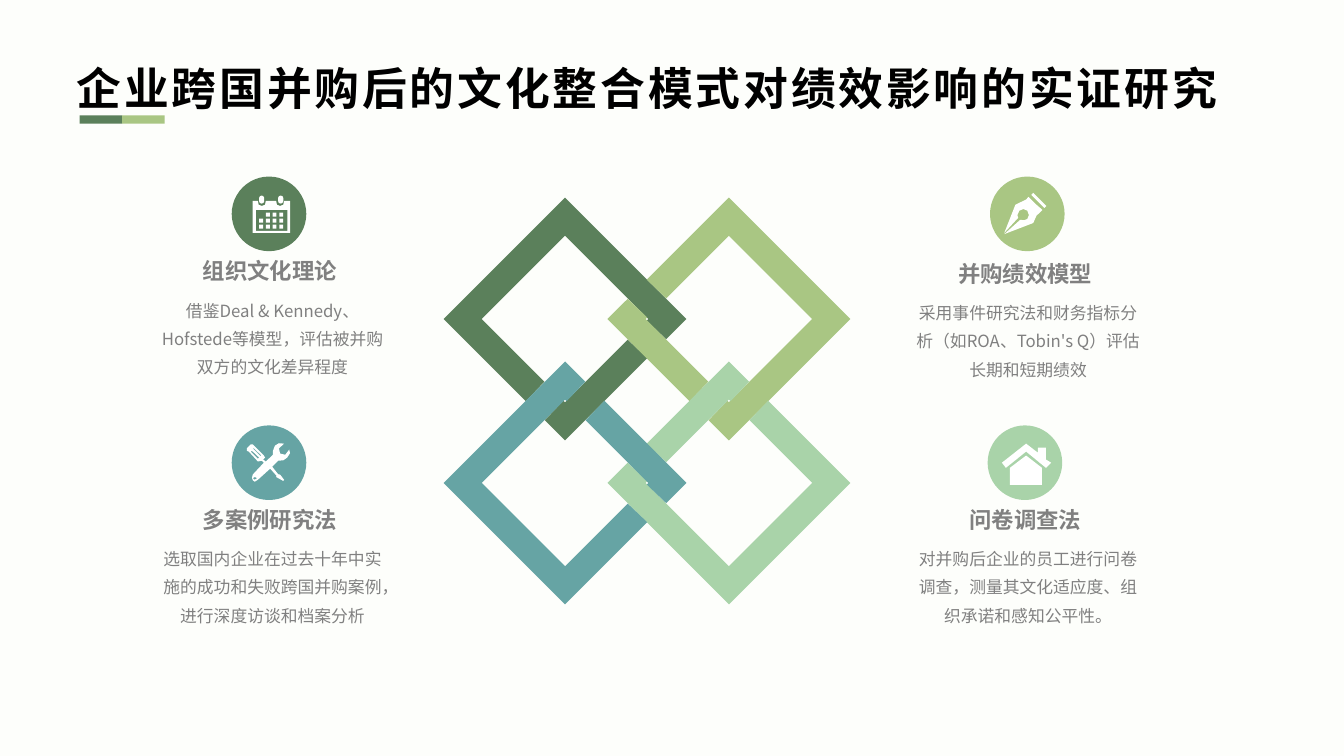
from lxml.etree import SubElement
from pptx import Presentation
from pptx.dml.color import RGBColor
from pptx.enum.shapes import MSO_SHAPE
from pptx.enum.text import MSO_ANCHOR, PP_ALIGN
from pptx.oxml.ns import qn
from pptx.util import Cm, Pt

FONT = "Noto Sans CJK SC"
FOREST, LIME, MINT, TEAL = "5B805B", "A9C683", "A9D3A9", "66A4A4"
WHITE, GREY, BLACK = "FFFFFF", "808080", "000000"

deck = Presentation()
deck.slide_width, deck.slide_height = Cm(33.87), Cm(19.05)
page = deck.slides.add_slide(deck.slide_layouts[6])
page.background.fill.solid()
page.background.fill.fore_color.rgb = RGBColor.from_string("FDFEFB")


def paint(shape, color):
    shape.shadow.inherit = False
    shape.fill.solid()
    shape.fill.fore_color.rgb = RGBColor.from_string(color)
    shape.line.fill.background()


def write(text, left, top, width, height, size, color=GREY, bold=False, align=PP_ALIGN.CENTER,
          anchor=MSO_ANCHOR.TOP, line=1.0, wrap=True, margins=(0, 0), tracking=0):
    box = page.shapes.add_textbox(Cm(left), Cm(top), Cm(width), Cm(height))
    frame = box.text_frame
    frame.word_wrap = wrap
    frame.vertical_anchor = anchor
    frame.margin_left = frame.margin_right = Cm(margins[0])
    frame.margin_top = frame.margin_bottom = Cm(margins[1])
    para = frame.paragraphs[0]
    para.alignment = align
    para.line_spacing = line
    span = para.add_run()
    span.text = text
    span.font.size = Pt(size)
    span.font.bold = bold
    span.font.color.rgb = RGBColor.from_string(color)
    span.font.name = FONT
    properties = span._r.get_or_add_rPr()
    SubElement(properties, qn("a:ea")).set("typeface", FONT)
    if tracking:
        properties.set("spc", str(tracking * 100))


write("企业跨国并购后的文化整合模式对绩效影响的实证研究", 1.68, 1.13, 30.53, 1.9, 32,
      color=BLACK, bold=True, align=PP_ALIGN.LEFT, anchor=MSO_ANCHOR.MIDDLE, line=1.2,
      margins=(0.25, 0.13), tracking=2)
for index, color in enumerate([FOREST, LIME]):
    bar = page.shapes.add_shape(MSO_SHAPE.RECTANGLE, Cm(2.01 + 1.07 * index), Cm(2.91), Cm(1.07), Cm(0.21))
    paint(bar, color)

outlines = []
directions = [(0, -1), (1, 0), (0, 1), (-1, 0)]
ring_centers = [(14.24, 8.04), (18.37, 8.04), (18.37, 12.17), (14.24, 12.17)]
for index, (color, (x, y)) in enumerate(zip([FOREST, LIME, MINT, TEAL], ring_centers)):
    bands = []
    for first, count in [(index + 3, 3), (index + 2, 1)]:
        edges = []
        for radius, start, end in [(3.06, 0.99, 0.51), (2.1, 0.52, 0.04)]:
            corners = [tuple(radius * part for part in directions[corner % 4])
                       for corner in range(first - 1, first + count + 1)]
            edge = corners[1:-1]
            for (ax, ay), (bx, by), distance, place in [
                (corners[0], corners[1], start, 0),
                (corners[-2], corners[-1], end, len(edge) + 1),
            ]:
                share = distance / radius
                edge.insert(place, (ax + (bx - ax) * share, ay + (by - ay) * share))
            edges.append(edge)
        bands.append(edges[0] + edges[1][::-1])
    outlines.append((x, y, color, bands))

calendar = [[
    [(0.53, -0.33), (0.38, -0.33), (0.36, -0.23), (0.28, -0.2), (0.2, -0.23), (0.18, -0.33),
     (-0.08, -0.33), (-0.1, -0.23), (-0.18, -0.2), (-0.26, -0.23), (-0.28, -0.33),
     (-0.41, -0.33), (-0.41, 0.48), (0.53, 0.48)],
    [(-0.33, -0.1), (0.46, -0.1), (0.46, 0.43), (-0.33, 0.43)],
]]
pen = [
    [[(0.23, -0.23), (0.03, -0.43), (-0.03, -0.36), (-0.3, -0.23), (-0.58, 0.48), (-0.23, 0.1),
      (-0.25, 0.03), (-0.2, -0.08), (-0.1, -0.12), (0, -0.08), (0.04, 0.03), (0, 0.13),
      (-0.08, 0.16), (-0.18, 0.15), (-0.58, 0.51), (0.15, 0.23), (0.23, 0.05), (0.38, -0.1)]],
    [[(0.15, -0.53), (0.48, -0.2), (0.43, -0.15), (0.1, -0.48)]],
]
tools = [[
    [(-0.56, -0.36), (-0.46, -0.46), (-0.41, -0.46), (-0.38, -0.43), (-0.13, -0.18), (-0.1, -0.13),
     (-0.15, -0.08), (-0.08, -0.03), (0.1, -0.2), (0.1, -0.3), (0.15, -0.43), (0.25, -0.49),
     (0.38, -0.48), (0.25, -0.36), (0.28, -0.23), (0.41, -0.2), (0.51, -0.33), (0.53, -0.24),
     (0.46, -0.13), (0.36, -0.06), (0.23, -0.05), (0.08, 0.1), (0.23, 0.29), (0.28, 0.3),
     (0.38, 0.43), (0.36, 0.46), (0.18, 0.36), (0.19, 0.33), (0.03, 0.15), (-0.28, 0.43),
     (-0.36, 0.48), (-0.41, 0.44), (-0.43, 0.38), (-0.41, 0.3), (-0.13, 0), (-0.18, -0.05),
     (-0.28, -0.03), (-0.51, -0.28), (-0.56, -0.3)],
    [(-0.36, 0.36), (-0.41, 0.39), (-0.36, 0.43), (-0.3, 0.39)],
    [(-0.41, -0.36), (-0.38, -0.36), (-0.19, -0.18), (-0.22, -0.17)],
    [(-0.46, -0.28), (-0.43, -0.3), (-0.25, -0.13), (-0.28, -0.1)],
]]
house = [
    [[(-0.38, 0.13), (-0.38, 0.56), (0.43, 0.56), (0.43, 0.13), (0.03, -0.18)]],
    [[(0.53, -0.08), (0.53, -0.38), (0.33, -0.38), (0.33, -0.25), (0.03, -0.48), (-0.58, 0),
      (-0.48, 0.13), (0.03, -0.28), (0.53, 0.13), (0.66, 0)]],
]

topics = [
    (6.78, 5.39, FOREST, calendar, 4.83, 6.31, 7.37, "组织文化理论",
     "借鉴Deal & Kennedy、Hofstede等模型，评估被并购双方的文化差异程度"),
    (25.89, 5.39, LIME, pen, 23.87, 6.38, 7.43, "并购绩效模型",
     "采用事件研究法和财务指标分析（如ROA、Tobin's Q）评估长期和短期绩效"),
    (6.78, 11.66, TEAL, tools, 4.83, 12.58, 13.63, "多案例研究法",
     "选取国内企业在过去十年中实施的成功和失败跨国并购案例，进行深度访谈和档案分析"),
    (25.83, 11.66, MINT, house, 23.87, 12.58, 13.63, "问卷调查法",
     "对并购后企业的员工进行问卷调查，测量其文化适应度、组织承诺和感知公平性。"),
]
for x, y, color, icon, left, heading_top, body_top, heading, body in topics:
    badge = page.shapes.add_shape(MSO_SHAPE.FLOWCHART_CONNECTOR, Cm(x - 0.94), Cm(y - 0.94), Cm(1.88), Cm(1.88))
    paint(badge, color)
    outlines.extend((x, y, WHITE, contours) for contours in icon)
    write(heading, left, heading_top, 3.94, 0.94, 16, bold=True, wrap=False, margins=(0, 0.18))
    write(body, left - 0.87, body_top, 5.82, 2.21, 12, line=1.4)

for x, y, color, contours in outlines:
    builder = None
    for contour in contours:
        points = [(Cm(x + dx), Cm(y + dy)) for dx, dy in contour]
        if builder is None:
            builder = page.shapes.build_freeform(*points[0])
        else:
            builder.move_to(*points[0])
        builder.add_line_segments(points[1:], close=True)
    paint(builder.convert_to_shape(), color)

calendar_x, calendar_y = topics[0][:2]
for offset in (-0.25, 0.23):
    binder = page.shapes.add_shape(MSO_SHAPE.ROUNDED_RECTANGLE, Cm(calendar_x + offset), Cm(calendar_y - 0.46),
                                   Cm(0.13), Cm(0.2))
    binder.adjustments[0] = 0.5
    paint(binder, WHITE)
for row in range(3):
    for column in range(4):
        if row or column:
            day = page.shapes.add_shape(MSO_SHAPE.RECTANGLE, Cm(calendar_x - 0.25 + 0.17 * column),
                                        Cm(calendar_y - 0.03 + 0.15 * row), Cm(0.1), Cm(0.1))
            paint(day, WHITE)

deck.save("out.pptx")
